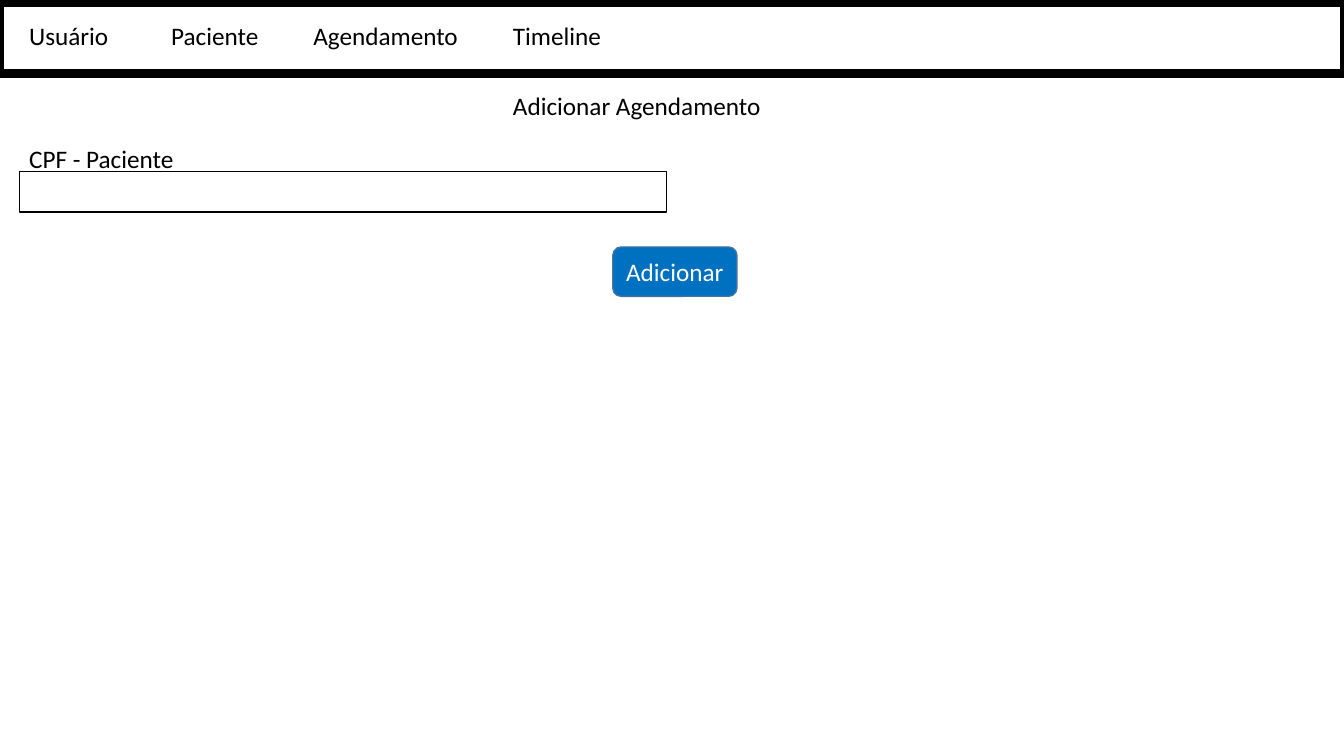
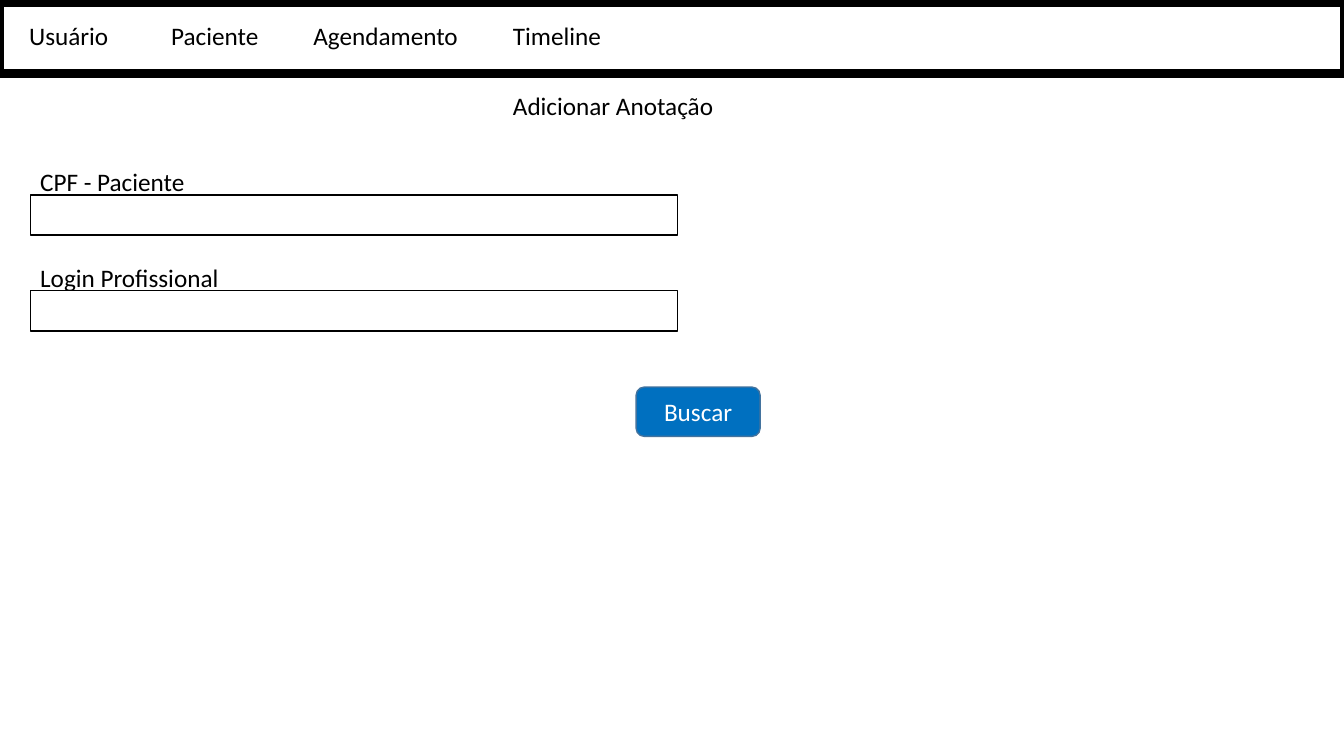
"""Builds two wireframe screens of a scheduling app: a menu bar, a title, form fields and a button."""
import pptx
import pptx.dml.color
import pptx.enum.shapes
import pptx.enum.text
import pptx.util

RGBColor = pptx.dml.color.RGBColor
BLACK = RGBColor(0x00, 0x00, 0x00)
WHITE = RGBColor(0xFF, 0xFF, 0xFF)
BLUE = RGBColor(0x00, 0x70, 0xC0)
EDGE = RGBColor(0x43, 0x73, 0x9E)
RECT = pptx.enum.shapes.MSO_SHAPE.RECTANGLE
ROUNDED = pptx.enum.shapes.MSO_SHAPE.ROUNDED_RECTANGLE

prs = pptx.Presentation()
prs.slide_width = pptx.util.Inches(13.33)
prs.slide_height = pptx.util.Inches(7.5)
COL, ROW = prs.slide_width / 100, prs.slide_height / 100

ROW_H = 5.33
FIELD_W = 48.15
FIELD_DROP = 4.45
FIELD_STEP = 12.67
TITLE_X = 37.43
MENU = [("Usuário", 1.43, 7.43), ("Paciente", 12, 8.1),
        ("Agendamento", 22.58, 12.38), ("Timeline", TITLE_X, 8.18)]
SCREENS = [
    {"title": ("Adicionar Agendamento", 20.18), "form": (1.43, 18.27),
     "fields": [("CPF - Paciente", 12.38)],
     "button": ("Adicionar", 45.6, 32.67)},
    {"title": ("Adicionar Anotação", 16.58), "form": (2.25, 21.33),
     "fields": [("CPF - Paciente", 12.38), ("Login Profissional", 14.93)],
     "button": ("Buscar", 47.33, 51.2)},
]


def add_label(s, text, x, y, w):
    sp = s.shapes.add_textbox(int(x * COL), int(y * ROW), int(w * COL), int(ROW_H * ROW))
    tf = sp.text_frame
    tf.word_wrap = False
    tf.auto_size = pptx.enum.text.MSO_AUTO_SIZE.SHAPE_TO_FIT_TEXT
    p = tf.paragraphs[0]
    p.text = text
    p.font.name, p.font.size, p.font.color.rgb = "Calibri", pptx.util.Pt(18), BLACK


def add_box(s, kind, x, y, w, h, fill=WHITE, line=BLACK, weight=1):
    sp = s.shapes.add_shape(kind, int(x * COL), int(y * ROW), int(w * COL), int(h * ROW))
    sp.shadow.inherit = False
    sp.fill.solid()
    sp.fill.fore_color.rgb = fill
    sp.line.color.rgb = line
    sp.line.width = pptx.util.Pt(weight)
    return sp


for screen in SCREENS:
    s = prs.slides.add_slide(prs.slide_layouts[6])
    add_box(s, RECT, 0, 0.4, 100, 9.33, weight=6)
    for item, x, w in MENU:
        add_label(s, item, x, 2, w)

    title, w = screen["title"]
    add_label(s, title, TITLE_X, 11.33, w)

    x, top = screen["form"]
    for i, (label, w) in enumerate(screen["fields"]):
        y = top + i * FIELD_STEP
        add_label(s, label, x, y, w)
        add_box(s, RECT, x, y + FIELD_DROP, FIELD_W, ROW_H)

    text, x, y = screen["button"]
    tf = add_box(s, ROUNDED, x, y, 9.23, 6.53, BLUE, EDGE).text_frame
    tf.word_wrap = True
    tf.vertical_anchor = pptx.enum.text.MSO_ANCHOR.MIDDLE
    p = tf.paragraphs[0]
    p.text = text
    p.alignment = pptx.enum.text.PP_ALIGN.CENTER
    p.font.name, p.font.size, p.font.color.rgb = "Calibri", pptx.util.Pt(18), WHITE

prs.save("out.pptx")
